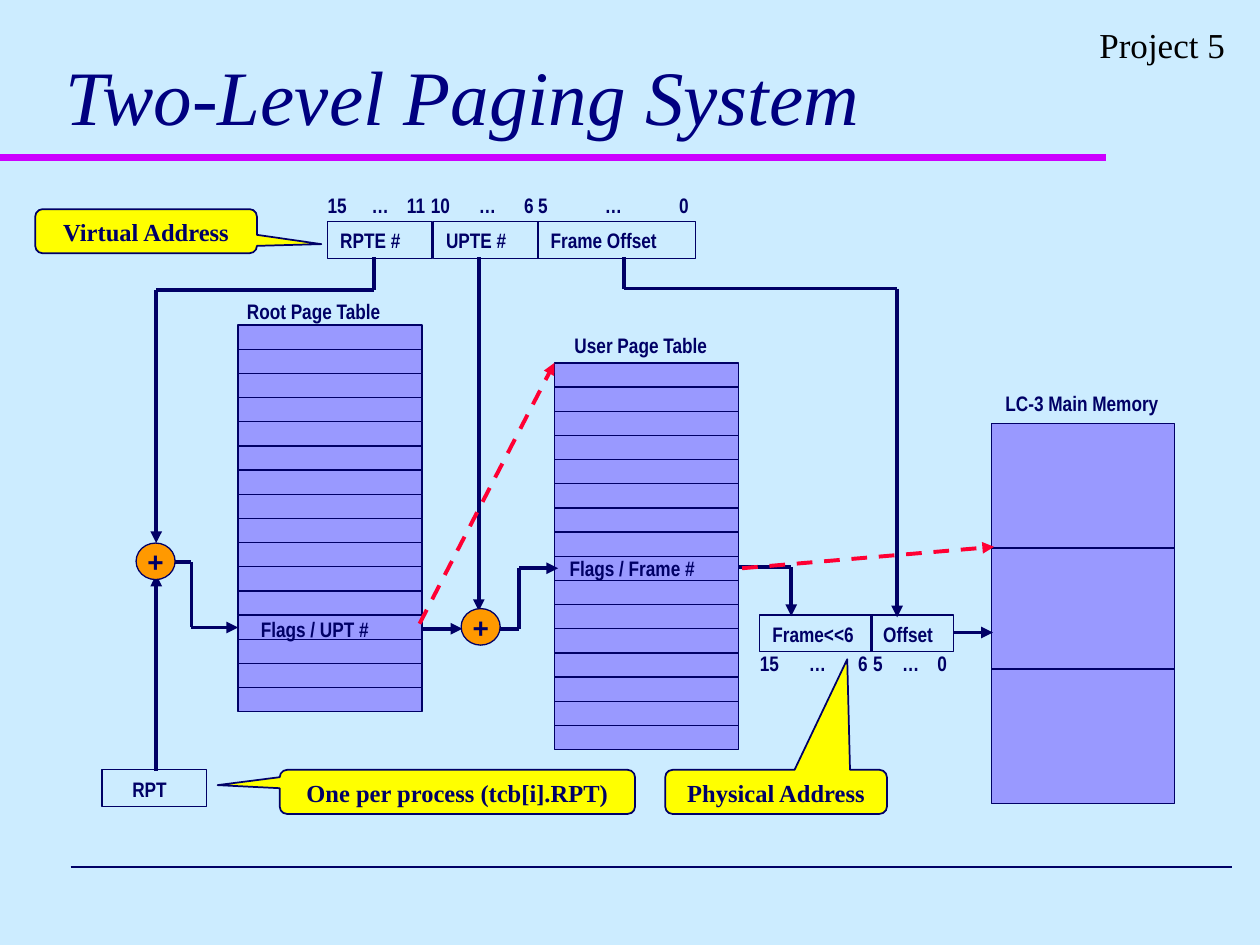
from itertools import pairwise

from lxml import etree
from pptx import Presentation
from pptx import util as u
from pptx.dml.color import RGBColor
from pptx.enum import dml, shapes, text
from pptx.oxml import ns

COLORS = {
    "background": "CCECFF", "navy": "000066", "title": "000080",
    "rule": "CC00FF", "cell": "9999FF", "callout": "FFFF00",
    "adder": "FF9900", "pointer": "FF0033", "black": "000000",
}
ROWS = 16
TABLE_WIDTH = 1.46
TABLE_HEIGHT = 3.07
FIELD_HEIGHT = 0.29


def color(name):
    return RGBColor.from_string(COLORS[name])


def write(shape, content, size=12, font="Arial Narrow", ink="navy", bold=True,
          italic=False, align="LEFT", anchor="TOP", margins=(0, 0), wrap=True,
          tabs=()):
    frame = shape.text_frame
    frame.word_wrap = wrap
    frame.vertical_anchor = text.MSO_ANCHOR[anchor]
    frame.margin_left = frame.margin_right = u.Inches(margins[0])
    frame.margin_top = frame.margin_bottom = u.Inches(margins[1])
    paragraph = frame.paragraphs[0]
    paragraph.alignment = text.PP_ALIGN[align]
    if tabs:
        properties = paragraph._p.get_or_add_pPr()
        tab_list = etree.SubElement(properties, ns.qn("a:tabLst"))
        for position in tabs:
            etree.SubElement(tab_list, ns.qn("a:tab"),
                             pos=str(u.Inches(position)), algn="l")
    run = paragraph.add_run()
    run.text = content
    run.font.name = font
    run.font.size = u.Pt(size)
    run.font.bold = bold
    run.font.italic = italic
    run.font.color.rgb = color(ink)


def add_label(slide, content, left, top, width, height=0.2, **style):
    box = slide.shapes.add_textbox(u.Inches(left), u.Inches(top),
                                   u.Inches(width), u.Inches(height))
    write(box, content, **style)


def add_box(slide, left, top, width, height, fill=None, kind="RECTANGLE",
            line_width=0.75):
    shape = slide.shapes.add_shape(
        shapes.MSO_SHAPE[kind], u.Inches(left), u.Inches(top),
        u.Inches(width), u.Inches(height))
    shape.shadow.inherit = False
    if fill:
        shape.fill.solid()
        shape.fill.fore_color.rgb = color(fill)
    else:
        shape.fill.background()
    shape.line.color.rgb = color("navy")
    shape.line.width = u.Pt(line_width)
    return shape


def add_line(slide, start, end, ink="navy", width=2.25, arrow=False,
             dashed=False):
    line = slide.shapes.add_connector(
        shapes.MSO_CONNECTOR.STRAIGHT,
        *[u.Inches(value) for value in (*start, *end)])
    line.line.color.rgb = color(ink)
    line.line.width = u.Pt(width)
    if dashed:
        line.line.dash_style = dml.MSO_LINE.DASH
    if arrow:
        etree.SubElement(line.line._get_or_add_ln(), ns.qn("a:tailEnd"),
                         type="triangle")
    etree.SubElement(line._element.spPr, ns.qn("a:effectLst"))


def add_route(slide, *points):
    legs = list(pairwise(points))
    for index, (start, end) in enumerate(legs, 1):
        add_line(slide, start, end, arrow=index == len(legs))


def add_field(slide, content, left, top, width, indent=0.1):
    add_box(slide, left, top, width, FIELD_HEIGHT)
    add_label(slide, content, left + indent, top + 0.05, width - indent,
              wrap=False)


def add_page_table(slide, left, top):
    row_height = TABLE_HEIGHT / ROWS
    for row in range(ROWS):
        add_box(slide, left, top + row * row_height, TABLE_WIDTH, row_height,
                "cell")


def add_adder(slide, left, top):
    circle = add_box(slide, left, top, 0.31, FIELD_HEIGHT, "adder", "OVAL")
    write(circle, "+", size=16, font="Arial", align="CENTER", anchor="MIDDLE",
          wrap=False)


def add_callout(slide, content, left, top, width, pointer):
    shape = add_box(slide, left, top, width, 0.35, "callout",
                    "ROUNDED_RECTANGULAR_CALLOUT", line_width=1)
    shape.adjustments[0], shape.adjustments[1] = pointer
    write(shape, content, size=14, font="Times New Roman", align="CENTER",
          margins=(0.1, 0.05))


def add_frame(slide):
    add_line(slide, (0, 1.25), (8.78, 1.25), ink="rule", width=4)
    add_line(slide, (0.56, 6.88), (9.78, 6.88), width=1)
    heading = {"font": "Times New Roman", "bold": False, "margins": (0.1, 0.05)}
    add_label(slide, "Two-Level Paging System", 0.42, 0.17, 9.25, 1, size=44,
              ink="title", italic=True, anchor="BOTTOM", **heading)
    add_label(slide, "Project 5", 6.24, 0.14, 3.58, 0.44, size=20,
              ink="black", align="RIGHT", **heading)


def add_virtual_address(slide):
    add_label(slide, "15\t…\t11\t10\t…\t6\t5\t…\t0", 2.6, 1.53, 3.02,
              tabs=(0.35, 0.63, 0.82, 1.2, 1.56, 1.67, 2.2, 2.79))
    for content, left, width in (("RPTE #", 2.6, 0.83), ("UPTE #", 3.44, 0.83),
                                 ("Frame Offset", 4.27, 1.25)):
        add_field(slide, content, left, 1.76, width)
    add_callout(slide, "Virtual Address", 0.28, 1.66, 1.76, (0.79, 0.294))


def add_root_level(slide):
    add_label(slide, "Root Page Table", 1.96, 2.37, 1.36)
    add_page_table(slide, 1.89, 2.58)
    add_label(slide, "Flags / UPT #", 2.07, 4.89, 1.16)
    add_field(slide, "RPT", 0.81, 6.11, 0.83, indent=0.24)
    add_route(slide, (2.97, 2.04), (2.97, 2.3), (1.24, 2.3), (1.24, 4.31))
    add_route(slide, (1.24, 6.12), (1.24, 4.56))
    add_route(slide, (1.34, 4.46), (1.52, 4.46), (1.52, 4.98), (1.89, 4.98))
    add_adder(slide, 1.08, 4.31)
    add_callout(slide, "One per process (tcb[i].RPT)", 2.22, 6.11, 2.82,
                (-0.675, -0.153))


def add_user_level(slide):
    add_label(slide, "User Page Table", 4.56, 2.64, 1.36)
    add_page_table(slide, 4.4, 2.88)
    add_label(slide, "Flags / Frame #", 4.52, 4.41, 1.32)
    add_route(slide, (3.35, 4.99), (3.67, 4.99))
    add_route(slide, (3.8, 2.04), (3.8, 4.85))
    add_route(slide, (3.97, 4.99), (4.12, 4.99), (4.12, 4.51), (4.43, 4.51))
    add_adder(slide, 3.66, 4.83)


def add_physical_address(slide):
    add_field(slide, "Frame<<6", 6.03, 4.88, 0.89)
    add_field(slide, "Offset", 6.91, 4.88, 0.66)
    add_label(slide, "15\t…\t6\t5\t…\t0", 6.03, 5.16, 1.58,
              tabs=(0.39, 0.78, 0.9, 1.13, 1.41))
    add_route(slide, (5.86, 4.5), (6.28, 4.5), (6.28, 4.89))
    add_route(slide, (4.95, 2.04), (4.95, 2.29), (7.12, 2.29), (7.12, 4.9))
    add_callout(slide, "Physical Address", 5.28, 6.11, 1.76, (0.321, -3.008))


def add_main_memory(slide):
    add_label(slide, "LC-3 Main Memory", 7.98, 3.1, 1.3, wrap=False)
    add_box(slide, 7.87, 3.36, 1.45, 3.02, "cell")
    for top in (4.35, 5.31):
        add_line(slide, (7.87, top), (9.32, top), width=0.75)
    add_route(slide, (7.57, 5.02), (7.88, 5.02))


def main():
    presentation = Presentation()
    presentation.slide_width = u.Inches(10)
    presentation.slide_height = u.Inches(7.5)
    slide = presentation.slides.add_slide(presentation.slide_layouts[6])
    slide.background.fill.solid()
    slide.background.fill.fore_color.rgb = color("background")
    add_frame(slide)
    add_virtual_address(slide)
    add_root_level(slide)
    add_user_level(slide)
    add_physical_address(slide)
    add_main_memory(slide)
    for start, end in (((3.33, 4.95), (4.4, 2.88)), ((5.89, 4.51), (7.89, 4.34))):
        add_line(slide, start, end, ink="pointer", arrow=True, dashed=True)
    presentation.save("out.pptx")


if __name__ == "__main__":
    main()
